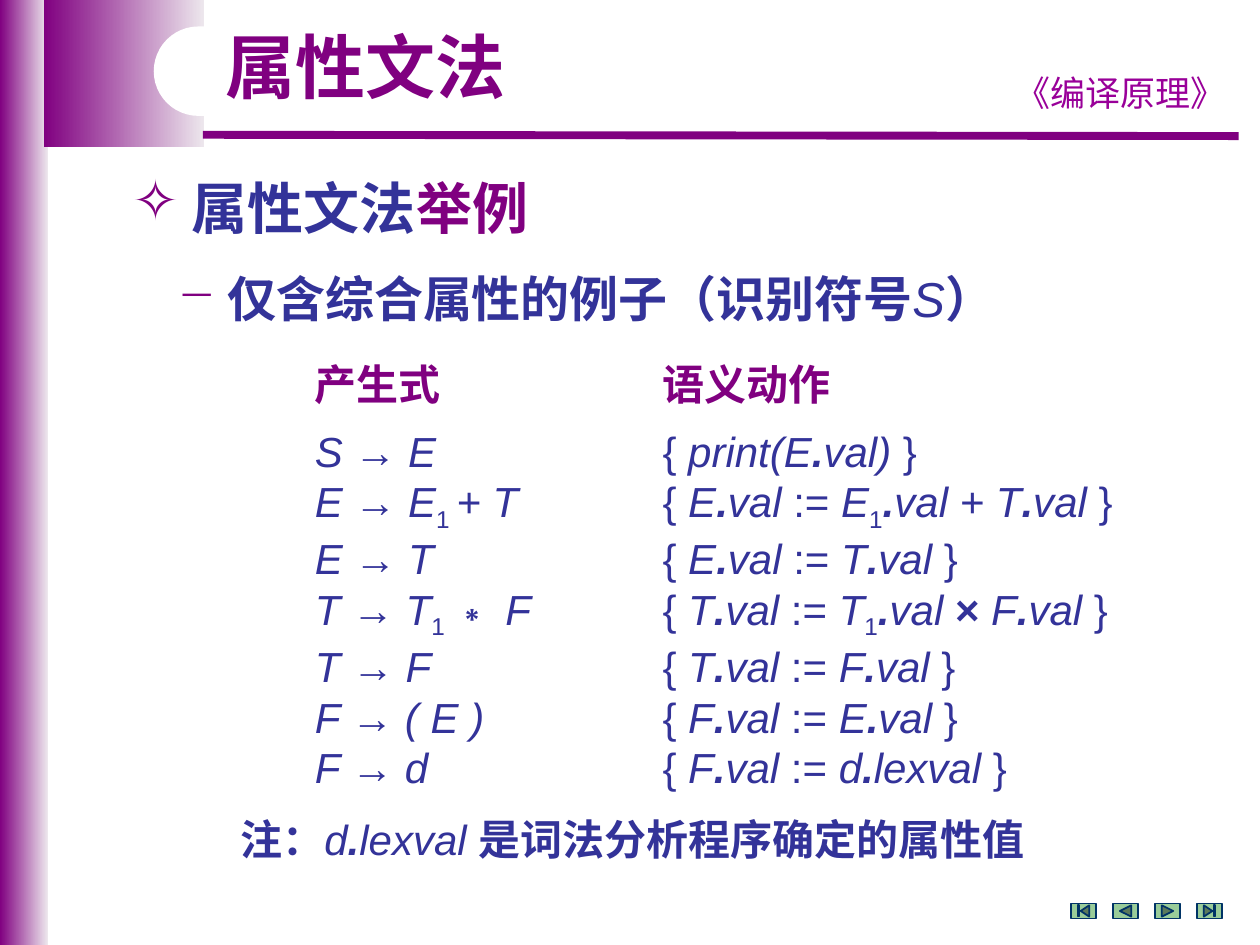
from itertools import groupby

from lxml import etree
from pptx import Presentation
from pptx.dml.color import RGBColor
from pptx.enum import shapes, text
from pptx.oxml.ns import qn
from pptx.util import Inches, Pt

COLORS = {
    "purple": "800080", "pale": "EDE7ED", "violet": "990099", "blue": "333399",
    "white": "FFFFFF", "green": "99CC99", "navy": "003366",
}
LATIN, CJK, COMIC = "Arial", "Noto Sans CJK SC", "Comic Neue"

# Run: (text, font, colour, style letters); b = bold, i = italic, s = subscript
COURSE = [("《编译原理》", COMIC, "violet", "")]
TITLE = [("属性文法", LATIN, "purple", "b")]
TOPIC = [(" ", CJK, "purple", "b"), ("属性文法", CJK, "blue", "b"), ("举例", CJK, "purple", "b")]
EXAMPLE = [
    (" ", CJK, "purple", "b"), ("仅含综合属性的例子（识别符号", CJK, "blue", "b"),
    ("S", LATIN, "blue", "i"), ("）", CJK, "blue", "b"),
]
NOTE = [
    ("注：", CJK, "blue", "b"), ("d", LATIN, "blue", "i"), (".", LATIN, "blue", "bi"),
    ("lexval ", LATIN, "blue", "i"), ("是词法分析程序确定的属性值", LATIN, "blue", "b"),
]
HEADINGS = ("产生式", "语义动作")
GRAMMAR = [
    ("S → E", "{ print(E.val) }"),
    ("E → E1 + T", "{ E.val := E1.val + T.val }"),
    ("E → T", "{ E.val := T.val }"),
    ("T → T1 ∗ F", "{ T.val := T1.val × F.val }"),
    ("T → F", "{ T.val := F.val }"),
    ("F → ( E )", "{ F.val := E.val }"),
    ("F → d", "{ F.val := d.lexval }"),
]
COLUMNS = [(2.4, 2.36), (5.16, 4.02)]
SHAPE = shapes.MSO_SHAPE
BUTTONS = [
    SHAPE.ACTION_BUTTON_BEGINNING, SHAPE.ACTION_BUTTON_BACK_OR_PREVIOUS,
    SHAPE.ACTION_BUTTON_FORWARD_OR_NEXT, SHAPE.ACTION_BUTTON_END,
]


def rgb(name):
    return RGBColor.from_string(COLORS[name])


def add_block(slide, kind, box, fill, fill_to=None, line=None):
    block = slide.shapes.add_shape(kind, *map(Inches, box))
    block.shadow.inherit = False
    if fill_to:
        block.fill.gradient()
        block.fill.gradient_angle = 0
        for stop, name in zip(block.fill.gradient_stops, (fill, fill_to)):
            stop.color.rgb = rgb(name)
    else:
        block.fill.solid()
        block.fill.fore_color.rgb = rgb(fill)
    if line:
        block.line.color.rgb = rgb(line)
        block.line.width = Pt(1)
    else:
        block.line.fill.background()
    return block


def add_runs(paragraph, runs, size):
    for words, font, color, style in runs:
        run = paragraph.add_run()
        run.text = words
        run.font.size = Pt(size)
        run.font.name = font
        run.font.bold = "b" in style
        run.font.italic = "i" in style
        run.font.color.rgb = rgb(color)
        props = run.font._element
        etree.SubElement(props, qn("a:ea")).set("typeface", COMIC if font == COMIC else CJK)
        if "s" in style:
            props.set("baseline", "-25000")


def add_text(slide, box, paragraphs, size):
    frame = slide.shapes.add_textbox(*map(Inches, box)).text_frame
    frame.word_wrap = True
    for number, runs in enumerate(paragraphs):
        paragraph = frame.add_paragraph() if number else frame.paragraphs[0]
        add_runs(paragraph, runs, size)
    return frame.paragraphs


def set_bullet(paragraph, mark, indent):
    props = paragraph._p.get_or_add_pPr()
    props.set("marL", str(Inches(indent)))
    props.set("indent", str(-Inches(indent)))
    etree.SubElement(props, qn("a:buChar")).set("char", mark)


def formula_runs(formula):
    """Symbols are italic, dots bold, digits subscript, operators upright."""
    styles = []
    for char in formula:
        if char == " " and styles:
            styles.append(styles[-1])
        elif char.isdigit():
            styles.append("s")
        else:
            styles.append({".": "bi", "×": "b"}.get(char, "" if char in "{}→:=∗" else "i"))
    return [("".join(char for char, _ in group), LATIN, "blue", style)
            for style, group in groupby(zip(formula, styles), key=lambda pair: pair[1])]


def main():
    deck = Presentation()
    deck.slide_width, deck.slide_height = Inches(10), Inches(7.5)
    slide = deck.slides.add_slide(deck.slide_layouts[6])

    for box in ((0, 0, 0.38, 7.5), (0.35, 0, 1.27, 1.17)):
        add_block(slide, SHAPE.RECTANGLE, box, "purple", fill_to="pale")
    rule = slide.shapes.add_connector(
        shapes.MSO_CONNECTOR.STRAIGHT, *map(Inches, (1.61, 1.07, 9.83, 1.08)))
    rule.line.color.rgb = rgb("purple")
    rule.line.width = Pt(4.5)
    etree.SubElement(rule._element.spPr, qn("a:effectLst"))
    course = add_text(slide, (7.91, 0.52, 1.97, 0.43), [COURSE], 20)
    course[0].alignment = text.PP_ALIGN.CENTER
    title_pill = add_block(slide, SHAPE.ROUNDED_RECTANGLE, (1.22, 0.21, 3.62, 0.71), "white")
    title_pill.adjustments[0] = 0.5

    title = add_text(slide, (1.69, 0.21, 2.52, 0.7), [TITLE], 40)
    title[0].line_spacing = 0.9
    topic = add_text(slide, (0.95, 1.33, 7.8, 0.63), [TOPIC], 32)
    set_bullet(topic[0], "✧", 0.37)
    example = add_text(slide, (1.31, 2.08, 7.44, 0.57), [EXAMPLE], 28)
    set_bullet(example[0], "−", 0.24)

    for (left, width), heading, formulas in zip(COLUMNS, HEADINGS, zip(*GRAMMAR)):
        lines = [[(heading, LATIN, "purple", "b")]] + [formula_runs(f) for f in formulas]
        column = add_text(slide, (left, 2.8, width, 3.43), lines, 24)
        column[1].space_before = Pt(9)
    add_text(slide, (1.81, 6.41, 6.94, 0.5), [NOTE], 24)

    for number, kind in enumerate(BUTTONS):
        add_block(slide, kind, (8.5 + number / 3, 7.17, 0.2, 0.12), "green", line="navy")

    deck.save("out.pptx")


if __name__ == "__main__":
    main()
